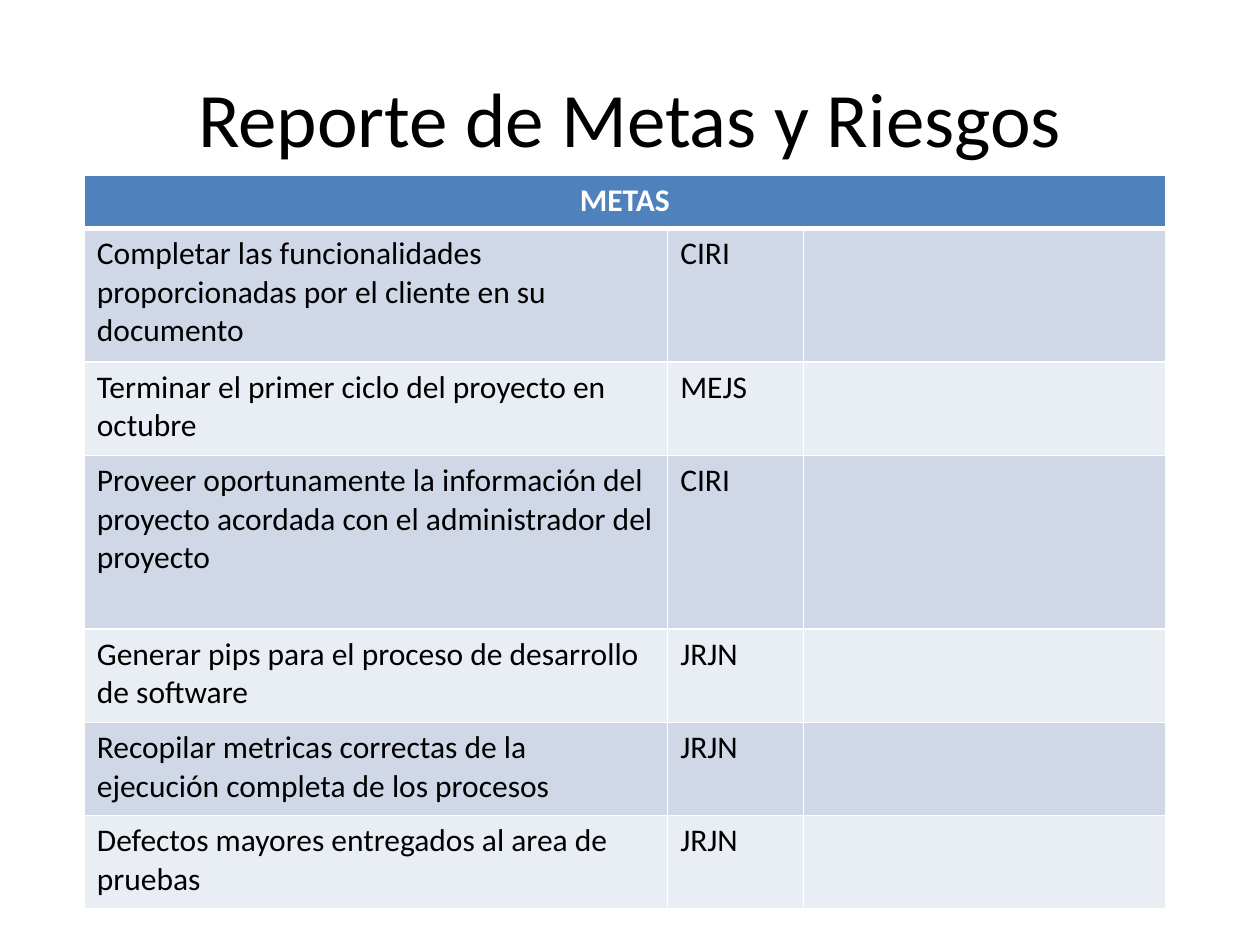
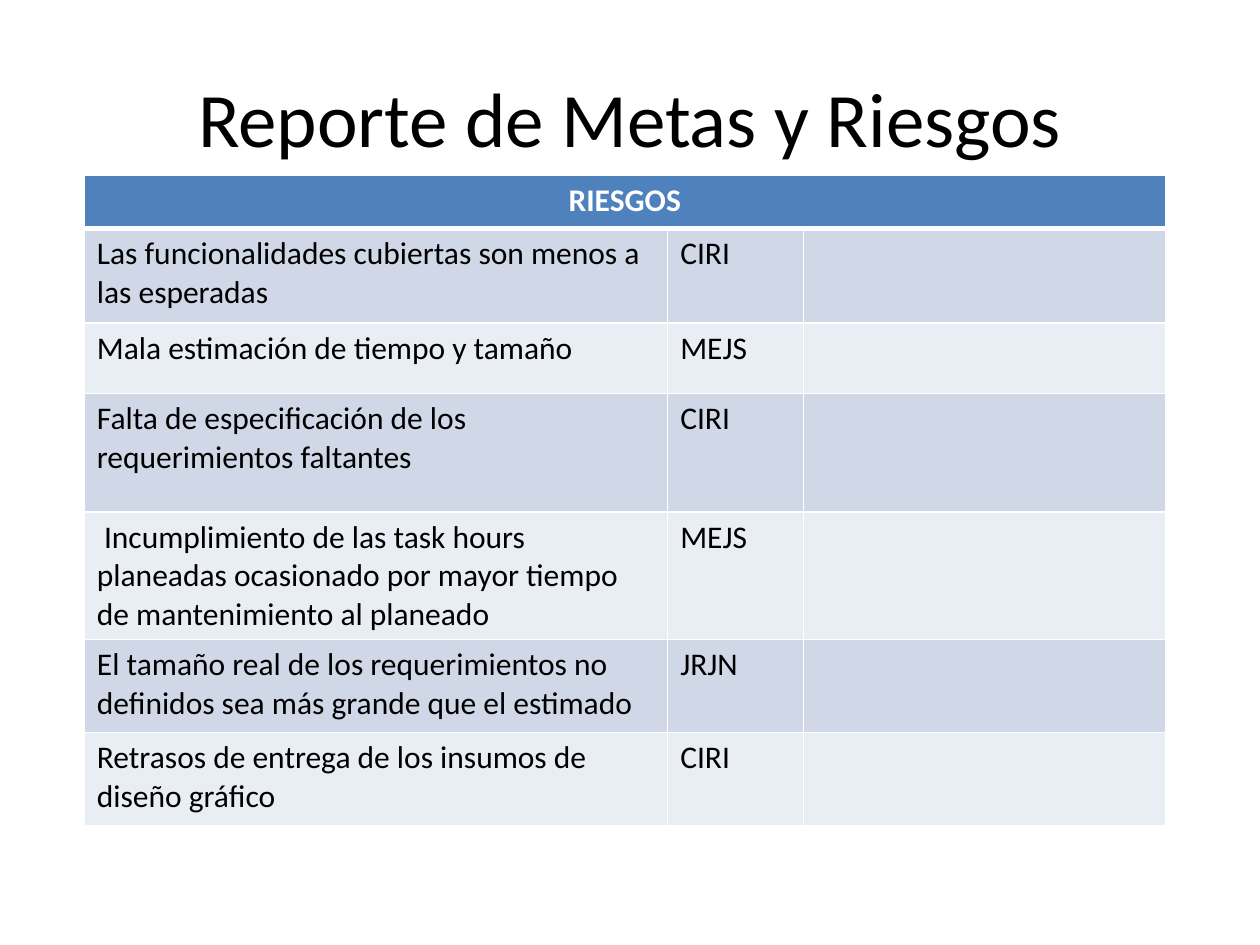
from lxml.etree import SubElement
from pptx import Presentation
from pptx.dml.color import RGBColor
from pptx.enum.text import MSO_ANCHOR, PP_ALIGN
from pptx.oxml.ns import qn
from pptx.util import Cm, Pt

TITLE = "Reporte de Metas y Riesgos"
# Each report: heading, then rows of (description, owner, height in cm)
REPORTS = [
    ("METAS", [
        ("Completar las funcionalidades proporcionadas por el cliente en su documento", "CIRI", 2.69),
        ("Terminar el primer ciclo del proyecto en octubre", "MEJS", 1.88),
        ("Proveer oportunamente la información del proyecto acordada con el "
         "administrador del proyecto", "CIRI", 3.5),
        ("Generar pips para el proceso de desarrollo de software", "JRJN", 1.88),
        ("Recopilar metricas correctas de la ejecución completa de los procesos", "JRJN", 1.88),
        ("Defectos mayores entregados al area de pruebas", "JRJN", 1.88),
    ]),
    ("RIESGOS", [
        ("Las funcionalidades cubiertas son menos a las esperadas", "CIRI", 1.9),
        ("Mala estimación de tiempo y tamaño", "MEJS", 1.42),
        ("Falta de especificación de los requerimientos faltantes", "CIRI", 2.39),
        (" Incumplimiento de las task hours planeadas ocasionado por mayor tiempo de "
         "mantenimiento al planeado", "MEJS", 2.57),
        ("El tamaño real de los requerimientos no definidos sea más grande que el estimado",
         "JRJN", 1.88),
        ("Retrasos de entrega de los insumos de diseño gráfico", "CIRI", 1.88),
    ]),
]

COLORS = {"text": "000000", "header": "4F81BD", "light": "FFFFFF",
          "odd": "D0D8E8", "even": "E9EDF4"}
FONT = "Calibri"
COLUMN_WIDTHS = (11.76, 2.74, 7.29)
HEADER_HEIGHT = 1.08
TABLE_LEFT, TABLE_TOP = 1.7, 3.53


def write(frame, text, size=18, color="text", bold=False, align=PP_ALIGN.LEFT):
    """Put one formatted paragraph in a text frame."""
    frame.word_wrap = True
    paragraph = frame.paragraphs[0]
    paragraph.alignment = align
    run = paragraph.add_run()
    run.text = text
    run.font.name, run.font.size, run.font.bold = FONT, Pt(size), bold
    run.font.color.rgb = RGBColor.from_string(COLORS[color])


def style_cell(cell, fill, top=1, bottom=1):
    """Give a cell white borders, widths in points, and a solid fill."""
    properties = cell._tc.get_or_add_tcPr()
    for side, width in (("L", 1), ("R", 1), ("T", top), ("B", bottom)):
        line = SubElement(properties, qn(f"a:ln{side}"), w=str(Pt(width)))
        solid = SubElement(line, qn("a:solidFill"))
        SubElement(solid, qn("a:srgbClr"), val=COLORS["light"])
    cell.fill.solid()
    cell.fill.fore_color.rgb = RGBColor.from_string(COLORS[fill])


def add_title(slide):
    """Add the title shared by all slides."""
    box = slide.shapes.add_textbox(Cm(1.27), Cm(0.76), Cm(22.86), Cm(3.18))
    box.text_frame.vertical_anchor = MSO_ANCHOR.MIDDLE
    write(box.text_frame, TITLE, size=44, align=PP_ALIGN.CENTER)


def add_report(slide, heading, entries):
    """Add a table with a merged heading and banded rows."""
    heights = [HEADER_HEIGHT] + [height for _, _, height in entries]
    table = slide.shapes.add_table(
        len(heights), len(COLUMN_WIDTHS), Cm(TABLE_LEFT), Cm(TABLE_TOP),
        Cm(sum(COLUMN_WIDTHS)), Cm(sum(heights))).table
    for column, width in zip(table.columns, COLUMN_WIDTHS):
        column.width = Cm(width)
    for row, height in zip(table.rows, heights):
        row.height = Cm(height)

    for cell in table.rows[0].cells:
        style_cell(cell, "header", bottom=3)
    title_cell = table.cell(0, 0)
    title_cell.merge(table.cell(0, len(COLUMN_WIDTHS) - 1))
    write(title_cell.text_frame, heading, color="light", bold=True, align=PP_ALIGN.CENTER)

    for number, (description, owner, _) in enumerate(entries, start=1):
        cells = list(table.rows[number].cells)
        for cell in cells:
            style_cell(cell, "odd" if number % 2 else "even", top=3 if number == 1 else 1)
        for cell, text in zip(cells, (description, owner)):
            write(cell.text_frame, text)


deck = Presentation()
deck.slide_width, deck.slide_height = Cm(25.4), Cm(19.05)
for heading, entries in REPORTS:
    slide = deck.slides.add_slide(deck.slide_layouts[6])
    add_title(slide)
    add_report(slide, heading, entries)
deck.save("out.pptx")
